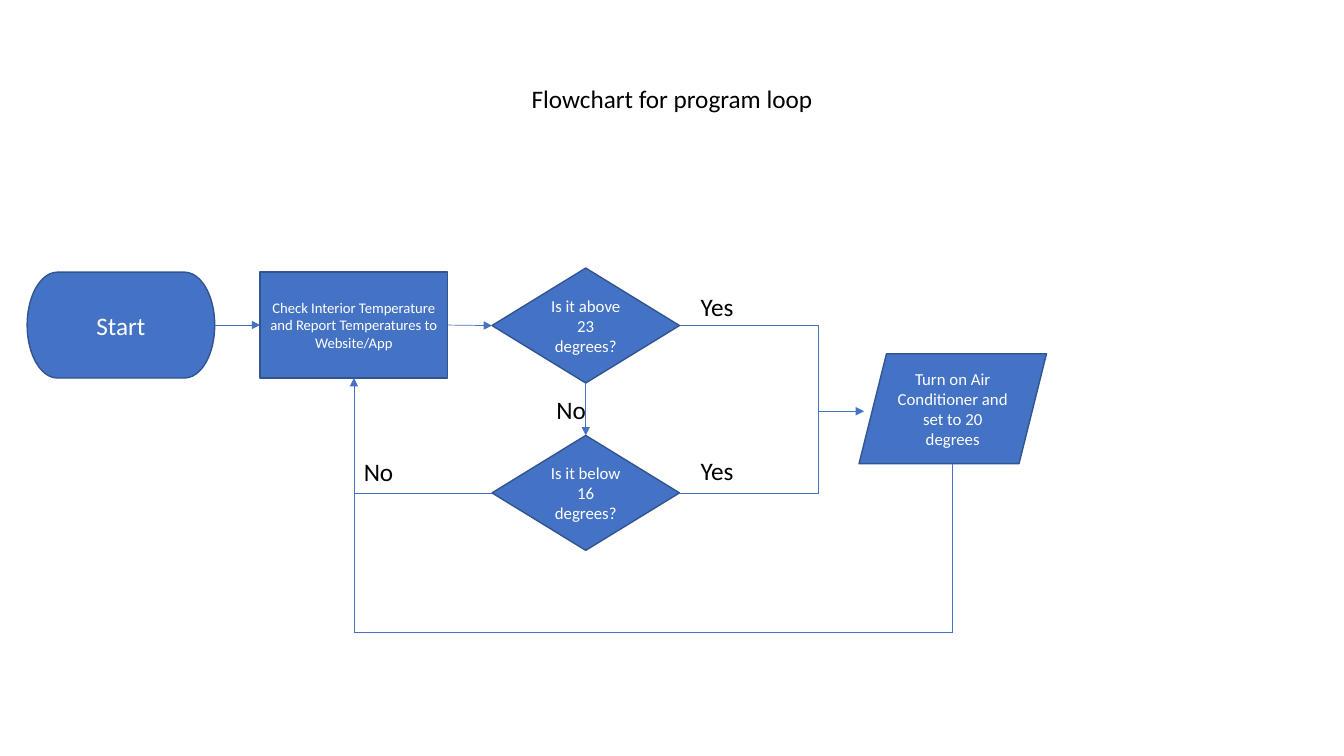
from lxml import etree
from pptx import Presentation
from pptx.dml.color import RGBColor
from pptx.enum.shapes import MSO_CONNECTOR, MSO_SHAPE
from pptx.enum.text import MSO_ANCHOR, MSO_AUTO_SIZE, PP_ALIGN
from pptx.oxml.ns import qn
from pptx.util import Pt

PX = 9144
FONT = "Calibri"
HUES = {"fill": "4472C4", "edge": "325491", "light": "FFFFFF", "dark": "000000"}
LINE = MSO_CONNECTOR.STRAIGHT
PILL = MSO_SHAPE.FLOWCHART_TERMINATOR
STEP = MSO_SHAPE.FLOWCHART_PROCESS
TEST = MSO_SHAPE.FLOWCHART_DECISION
SLANT = MSO_SHAPE.PARALLELOGRAM
MID = MSO_ANCHOR.MIDDLE
TOP = MSO_ANCHOR.TOP
FIT = MSO_AUTO_SIZE.SHAPE_TO_FIT_TEXT
CENTER = PP_ALIGN.CENTER
LEFT = PP_ALIGN.LEFT
NORTH, WEST, SOUTH, EAST = range(4)


def hue(name):
    return RGBColor.from_string(HUES[name])


def emu(*sizes):
    return [size * PX for size in sizes]


def write(shape, text, size, color, align, anchor):
    frame = shape.text_frame
    frame.word_wrap = True
    frame.vertical_anchor = anchor
    frame.text = text
    para = frame.paragraphs[0]
    para.alignment = align
    para.font.name = FONT
    para.font.size = Pt(size)
    para.font.color.rgb = hue(color)


def node(slide, kind, box, text, size):
    shape = slide.shapes.add_shape(kind, *emu(*box))
    shape.shadow.inherit = False
    shape.fill.solid()
    shape.fill.fore_color.rgb = hue("fill")
    shape.line.color.rgb = hue("edge")
    shape.line.width = Pt(1)
    write(shape, text, size, "light", CENTER, MID)
    return shape


def label(slide, box, text):
    shape = slide.shapes.add_textbox(*emu(*box))
    write(shape, text, 18, "dark", LEFT, TOP)
    shape.text_frame.auto_size = FIT


def link(slide, start, end, arrow=False, source=None, target=None):
    line = slide.shapes.add_connector(LINE, *emu(*start, *end))
    line.line.color.rgb = hue("fill")
    line.line.width = Pt(0.5)
    if source:
        line.begin_connect(*source)
    if target:
        line.end_connect(*target)
    if arrow:
        tip = etree.SubElement(line.line._get_or_add_ln(), qn("a:tailEnd"))
        tip.set("type", "triangle")
    etree.SubElement(line._element.spPr, qn("a:effectLst"))


def heading(slide, box, text):
    title = slide.shapes.title
    title.left, title.top, title.width, title.height = emu(*box)
    write(title, text, 18, "dark", CENTER, TOP)
    title.text_frame.auto_size = FIT


def flow(slide, box):
    x, y, wide, tall = box
    w, h, peak = 186, 105, 114
    first, second, floor = y + 57, y + 223, y + tall
    read, test, join, act = x + 231, x + 461, x + 785, x + wide - w
    back, fork, drop = read + w // 2, test + w // 2, act + w // 2
    merge = (first + second) // 2 + 2

    start = node(slide, PILL, (x, y + 4, w, h), "Start", 18)
    check = node(slide, STEP, (read, y + 4, w, h),
                 "Check Interior Temperature and Report Temperatures to Website/App", 10.5)
    above = node(slide, TEST, (test, y, w, peak), "Is it above 23 degrees?", 12)
    below = node(slide, TEST, (test, y + 166, w, peak), "Is it below 16 degrees?", 12)
    node(slide, SLANT, (act, y + 85, w, 109),
         "Turn on Air Conditioner and set to 20 degrees", 12)

    link(slide, (x + w, first), (read, first), True, (start, EAST), (check, WEST))
    link(slide, (read + w, first), (test, first), True, (check, EAST), (above, WEST))
    link(slide, (fork, y + peak), (fork, y + 166), True, (above, SOUTH), (below, NORTH))
    link(slide, (test, second), (back, second), source=(below, WEST))
    link(slide, (back, second), (back, y + 4 + h), True, target=(check, SOUTH))

    for level, shape in ((first, above), (second, below)):
        link(slide, (join, level), (test + w, level), target=(shape, EAST))
    link(slide, (join, first), (join, second))
    link(slide, (join, merge), (act + 5, merge), True)

    link(slide, (drop, y + 194), (drop, floor))
    link(slide, (back, floor), (drop, floor))
    link(slide, (back, second), (back, floor))

    label(slide, (test + 54, y + 120, 79, 40), "No")
    label(slide, (back, y + 182, 54, 40), "No")
    for top in (y + 18, y + 181):
        label(slide, (test + w + 11, top, 69, 40), "Yes")


def main():
    deck = Presentation()
    deck.slide_width, deck.slide_height = emu(1333, 750)
    slide = deck.slides.add_slide(deck.slide_layouts[5])
    heading(slide, (436, 78, 461, 40), "Flowchart for program loop")
    flow(slide, (27, 266, 1011, 361))
    deck.save("out.pptx")


if __name__ == "__main__":
    main()
